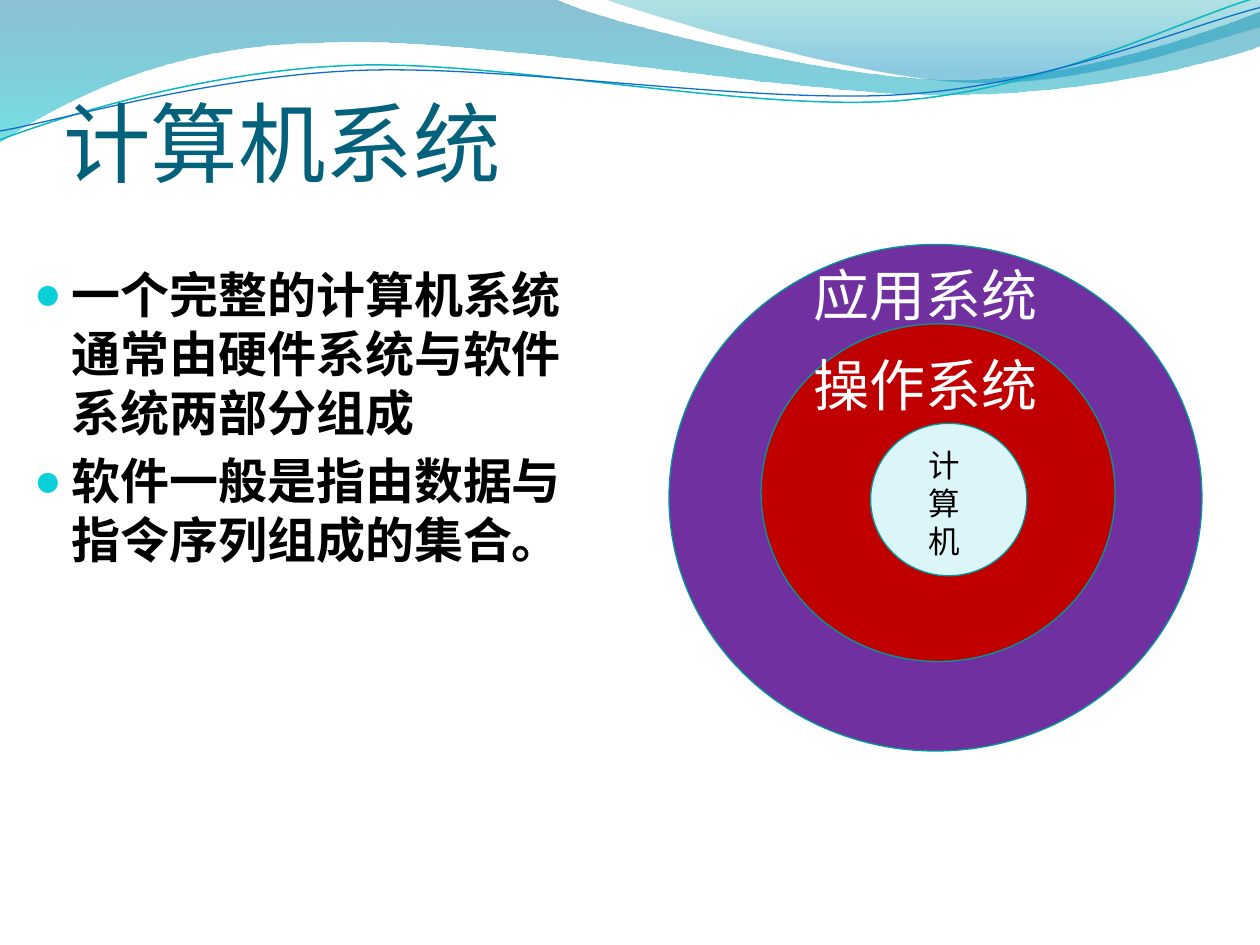
from dataclasses import dataclass

from lxml.etree import SubElement
from pptx import Presentation
from pptx.dml.color import RGBColor
from pptx.enum.shapes import MSO_SHAPE
from pptx.enum.text import MSO_ANCHOR, PP_ALIGN
from pptx.oxml.ns import qn
from pptx.util import Inches, Pt


@dataclass(frozen=True)
class Theme:
    title: str = "04617B"
    ink: str = "000000"
    light: str = "FFFFFF"
    bullet: str = "0BD0D9"
    ring_line: str = "009999"
    application: str = "7030A0"
    system: str = "C00000"
    computer: str = "DBF5F9"
    title_size: int = 50
    body_size: int = 28
    label_size: int = 32
    core_size: int = 18
    title_font: str = "Calibri"
    body_font: str = "Noto Sans CJK SC"
    label_font: str = "Times New Roman"


THEME = Theme()

BROAD_WAVE = [
    [(0, -0.01)], [(4.4, -0.01)],
    [(4.76, 0.17), (6.64, 0.63), (7.58, 0.63)],
    [(8.53, 0.63), (9.58, 0.26), (10, 0.09)], [(10.01, 0.36)],
    [(9.83, 0.44), (8.7, 0.76), (7.46, 0.75)],
    [(6.22, 0.75), (3.82, 0.28), (2.57, 0.34)],
    [(1.29, 0.35), (0.46, 0.83), (-0.01, 1.13)], [(0, -0.01)],
]
RIGHT_WAVE = [
    [(4.79, -0.01)],
    [(5.09, 0.11), (6.82, 0.62), (7.69, 0.65)],
    [(8.56, 0.69), (9.61, 0.32), (10, 0.21)], [(10, 0)], [(4.79, -0.01)],
]
TEAL_STRAND = [
    [(0, 1.11)],
    [(0.48, 0.93), (1.58, 0.57), (2.77, 0.52)],
    [(3.95, 0.47), (5.93, 0.89), (7.13, 0.8)],
    [(8.33, 0.71), (9.38, 0.15), (9.98, -0.02)],
]
BLUE_STRAND = [
    [(0, 1.04)],
    [(0.47, 0.96), (1.64, 0.61), (2.83, 0.56)],
    [(4.03, 0.51), (5.97, 0.83), (7.17, 0.75)],
    [(8.36, 0.67), (9.41, 0.21), (10, 0.06)],
]


def rgb(code):
    return RGBColor.from_string(code)


def add_curve(slide, segments, close):
    start, *rest = [(Inches(x), Inches(y)) for segment in segments for x, y in segment]
    builder = slide.shapes.build_freeform(*start)
    builder.add_line_segments(rest, close=close)
    curve = builder.convert_to_shape()
    curve.shadow.inherit = False
    outline = next(curve._element.iter(qn("a:path")))
    lines = iter(outline.findall(qn("a:lnTo")))
    for segment in segments[1:]:
        first, *others = [next(lines) for _ in segment]
        if others:
            first.tag = qn("a:cubicBezTo")
            for line in others:
                first.append(line[0])
                outline.remove(line)
    return curve


def add_wave(slide, segments, stops):
    wave = add_curve(slide, segments, True)
    wave.line.fill.background()
    wave.fill.gradient()
    wave.fill.gradient_angle = 270
    for stop, (position, color, _) in zip(wave.fill.gradient_stops, stops):
        stop.position = position
        stop.color.rgb = rgb(color)
    for tint, (_, _, opacity) in zip(wave._element.spPr.iter(qn("a:srgbClr")), stops):
        SubElement(tint, qn("a:alpha"), val=str(opacity * 1000))


def add_strand(slide, segments, color, width):
    strand = add_curve(slide, segments, False)
    strand.fill.background()
    strand.line.color.rgb = rgb(color)
    strand.line.width = Pt(width)


def add_ring(slide, box, color):
    ring = slide.shapes.add_shape(MSO_SHAPE.OVAL, *map(Inches, box))
    ring.shadow.inherit = False
    ring.fill.solid()
    ring.fill.fore_color.rgb = rgb(color)
    ring.line.color.rgb = rgb(THEME.ring_line)
    ring.line.width = Pt(0.75)


def format_text(paragraph, font, size, color, bold=False):
    for run in paragraph.runs:
        run.font.name = font
        run.font.size = Pt(size)
        run.font.color.rgb = rgb(color)
        run.font.bold = bold


def set_insets(frame, left, top, right, bottom):
    frame.margin_left, frame.margin_top = Inches(left), Inches(top)
    frame.margin_right, frame.margin_bottom = Inches(right), Inches(bottom)


def add_label(slide, box, text, size, color, wrap=False):
    frame = slide.shapes.add_textbox(*map(Inches, box)).text_frame
    frame.word_wrap = wrap
    frame.text = text
    format_text(frame.paragraphs[0], THEME.label_font, size, color)
    return frame


def place_title(slide, text):
    title = slide.shapes.title
    slide.shapes._spTree.append(title._element)
    title.left, title.top, title.width, title.height = map(Inches, (0.5, 0.29, 9, 1.25))
    frame = title.text_frame
    frame.text = text
    frame.vertical_anchor = MSO_ANCHOR.BOTTOM
    set_insets(frame, 0, 0.05, 0, 0)
    frame.paragraphs[0].alignment = PP_ALIGN.LEFT
    format_text(frame.paragraphs[0], THEME.title_font, THEME.title_size, THEME.title)


def add_bullets(slide, box, points):
    frame = slide.shapes.add_textbox(*map(Inches, box)).text_frame
    frame.word_wrap = True
    set_insets(frame, 0.1, 0, 0.1, 0.05)
    frame.text = "\n".join(points)
    for index, paragraph in enumerate(frame.paragraphs):
        properties = paragraph._p.get_or_add_pPr()
        properties.set("marL", str(Inches(0.3)))
        properties.set("indent", str(-Inches(0.3)))
        bullet_color = SubElement(properties, qn("a:buClr"))
        SubElement(bullet_color, qn("a:srgbClr"), val=THEME.bullet)
        SubElement(properties, qn("a:buSzPct"), val="95000")
        SubElement(properties, qn("a:buFont"), typeface=THEME.label_font)
        SubElement(properties, qn("a:buChar"), char="●")
        if index:
            paragraph.space_before = Pt(0.2 * THEME.body_size)
        format_text(paragraph, THEME.body_font, THEME.body_size, THEME.ink, True)


def main():
    deck = Presentation()
    deck.slide_width, deck.slide_height = Inches(10), Inches(7.5)
    slide = deck.slides.add_slide(deck.slide_layouts[5])

    add_wave(slide, BROAD_WAVE, [(0, "0074A1", 45), (1, "00C6CF", 55)])
    add_wave(slide, RIGHT_WAVE, [(0, "00A1A9", 30), (0.8, "008BBF", 45)])
    add_strand(slide, TEAL_STRAND, "0AB8BF", 0.85)
    add_strand(slide, BLUE_STRAND, "0F6FC6", 0.75)

    place_title(slide, "计算机系统")
    add_bullets(slide, (0.17, 2.1, 4.42, 4.21), [
        "一个完整的计算机系统通常由硬件系统与软件系统两部分组成",
        "软件一般是指由数据与指令序列组成的集合。",
    ])

    add_ring(slide, (5.31, 1.94, 4.23, 4.02), THEME.application)
    add_ring(slide, (6.04, 2.57, 2.81, 2.68), THEME.system)
    add_ring(slide, (6.91, 3.36, 1.24, 1.21), THEME.computer)

    core = add_label(slide, (7.28, 3.5, 0.45, 1), "计算机",
                     THEME.core_size, THEME.ink, wrap=True)
    set_insets(core, 0.09, 0.04, 0.09, 0.04)
    core.paragraphs[0].alignment = PP_ALIGN.JUSTIFY
    for text, top in (("操作系统", 2.73), ("应用系统", 2.02)):
        add_label(slide, (6.36, top, 2, 0.64), text, THEME.label_size, THEME.light)

    deck.save("out.pptx")


if __name__ == "__main__":
    main()
